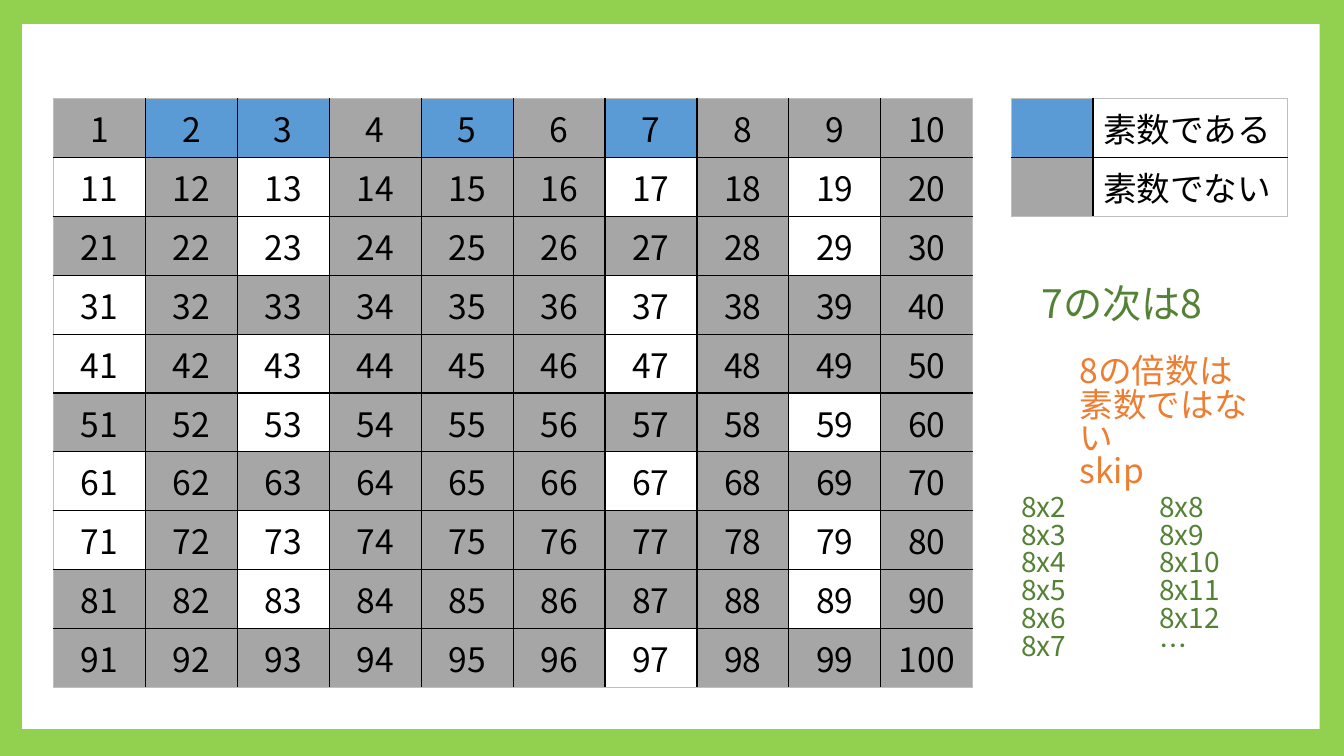
import pptx
import pptx.util
import pptx.dml.color
import pptx.enum.shapes
import pptx.enum.text
import pptx.oxml.ns
from lxml import etree

Inches = pptx.util.Inches
FONT = "Noto Sans CJK JP"
BLACK, WHITE, EDGE = "000000", "FFFFFF", "BFBFBF"
FRAME, PRIME, COMPOSITE = "92D050", "5B9BD5", "A6A6A6"
GREEN, ORANGE = "548235", "ED7D31"

SIEVED = (2, 3, 5, 7)
LEGEND = [("素数である", PRIME), ("素数でない", COMPOSITE)]
NOTES = [
    (10.23, 2.8, 1.9, 0.57, 28, GREEN, ["7の次は8"]),
    (10.61, 3.49, 2.16, 1.31, 24, ORANGE, ["8の倍数は", "素数ではない", "skip"]),
    (10.03, 4.86, 0.84, 2.12, 20, GREEN, [f"8x{n}" for n in range(2, 8)]),
    (11.4, 4.86, 0.95, 2.12, 20, GREEN, [f"8x{n}" for n in range(8, 13)] + ["…"]),
]


def color(value):
    return pptx.dml.color.RGBColor.from_string(value)


def paint(fill, value):
    if value:
        fill.solid()
        fill.fore_color.rgb = color(value)
    else:
        fill.background()


def style(paragraph, size, value):
    font = paragraph.font
    font.size = pptx.util.Pt(size)
    font.name = FONT
    font.color.rgb = color(value)
    properties = paragraph._p.pPr.find(pptx.oxml.ns.qn("a:defRPr"))
    etree.SubElement(properties, pptx.oxml.ns.qn("a:ea"), typeface=FONT)


def add_border(cell, side, value):
    qn = pptx.oxml.ns.qn
    line = etree.SubElement(cell._tc.get_or_add_tcPr(), qn(f"a:ln{side}"), w="12700")
    etree.SubElement(etree.SubElement(line, qn("a:solidFill")), qn("a:srgbClr"), val=value)


def add_grid(slide, left, top, widths, row_height, rows, alignment):
    count = len(rows)
    frame = slide.shapes.add_table(count, len(widths), Inches(left), Inches(top),
                                   Inches(sum(widths)), Inches(row_height * count))
    table = frame.table
    table.first_row = table.horz_banding = False
    for column, width in zip(table.columns, widths):
        column.width = Inches(width)
    for r, row in enumerate(rows):
        for c, (text, fill) in enumerate(row):
            cell = table.cell(r, c)
            outer = {"L": c == 0, "R": c == len(widths) - 1, "T": r == 0, "B": r == count - 1}
            for side, is_outer in outer.items():
                add_border(cell, side, EDGE if is_outer else BLACK)
            paint(cell.fill, fill)
            paragraph = cell.text_frame.paragraphs[0]
            paragraph.text = text
            paragraph.alignment = alignment
            style(paragraph, 24, BLACK)


def add_note(slide, left, top, width, height, size, value, lines):
    box = slide.shapes.add_textbox(Inches(left), Inches(top), Inches(width), Inches(height))
    frame = box.text_frame
    frame.word_wrap = True
    frame.auto_size = pptx.enum.text.MSO_AUTO_SIZE.SHAPE_TO_FIT_TEXT
    for i, line in enumerate(lines):
        paragraph = frame.paragraphs[0] if i == 0 else frame.add_paragraph()
        paragraph.text = line
        paragraph.line_spacing = 0.83
        style(paragraph, size, value)


def number_fill(number):
    if number in SIEVED:
        return PRIME
    if number == 1 or any(number % prime == 0 for prime in SIEVED):
        return COMPOSITE
    return None


def main():
    presentation = pptx.Presentation()
    presentation.slide_width, presentation.slide_height = Inches(13.33), Inches(7.5)
    slide = presentation.slides.add_slide(presentation.slide_layouts[6])
    paint(slide.background.fill, FRAME)

    panel = slide.shapes.add_shape(pptx.enum.shapes.MSO_SHAPE.RECTANGLE,
                                   Inches(0.22), Inches(0.24), Inches(12.87), Inches(6.99))
    panel.shadow.inherit = False
    paint(panel.fill, WHITE)
    panel.line.fill.background()

    align = pptx.enum.text.PP_ALIGN
    numbers = [[(str(n), number_fill(n)) for n in range(start, start + 10)]
               for start in range(1, 101, 10)]
    add_grid(slide, 0.53, 0.98, [0.912] * 10, 0.56, numbers, align.CENTER)
    legend = [[("", fill), (label, None)] for label, fill in LEGEND]
    add_grid(slide, 10.03, 0.98, [0.81, 1.93], 0.44, legend, align.LEFT)

    for note in NOTES:
        add_note(slide, *note)
    presentation.save("out.pptx")


if __name__ == "__main__":
    main()
